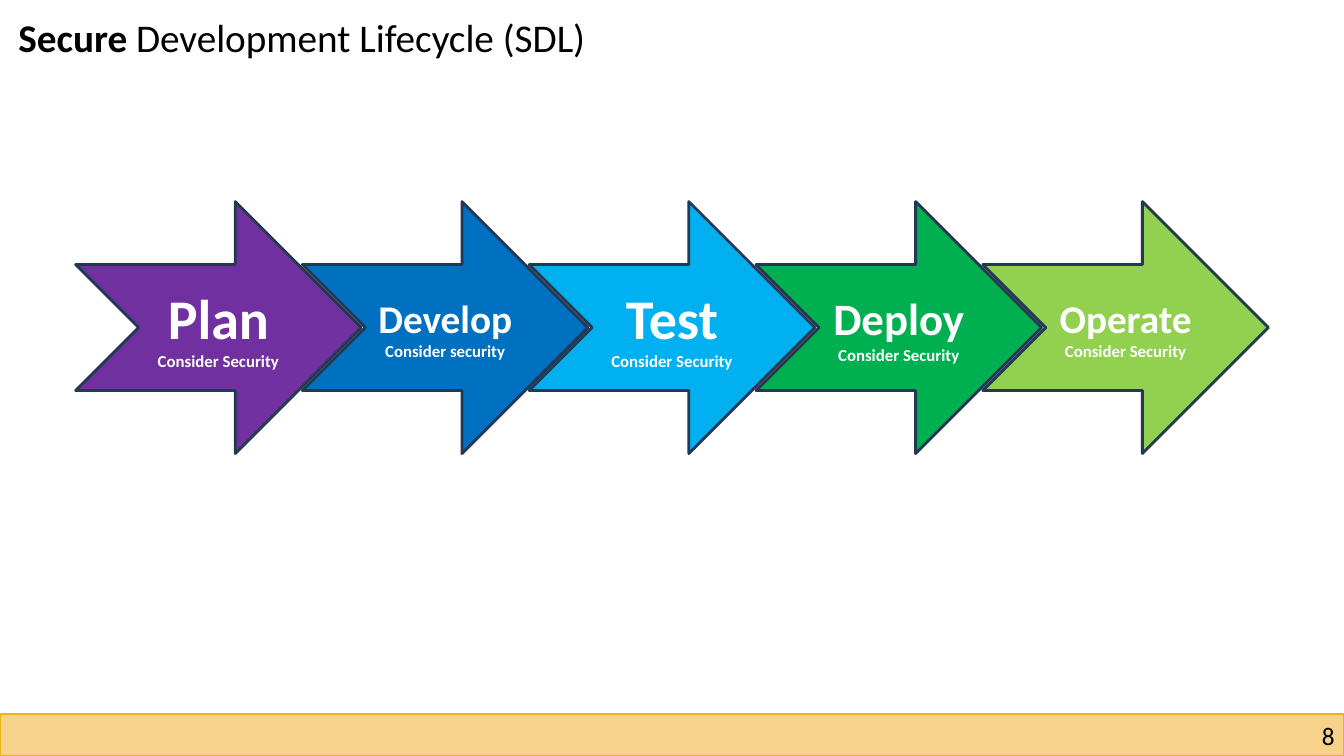
from pptx import Presentation
from pptx.dml.color import RGBColor
from pptx.enum.shapes import MSO_SHAPE as Shape
from pptx.enum.text import MSO_ANCHOR as Anchor, MSO_AUTO_SIZE as AutoSize, PP_ALIGN as Align
from pptx.util import Pt

EMU_PER_PX = 9525
TITLE_ONLY = 5


def px(*lengths):
    return [length * EMU_PER_PX for length in lengths]


def color(hex_string):
    return RGBColor.from_string(hex_string)


class SlideBuilder:
    FONT = "Calibri"
    INK = "000000"
    LIGHT = "FFFFFF"
    OUTLINE = "233953"
    BAND_FILL, BAND_LINE = "F6D28B", "EEB211"

    def __init__(self, slide):
        self.slide = slide

    def run(self, paragraph, words, size, ink, bold=False):
        run = paragraph.add_run()
        run.text = words
        run.font.name = self.FONT
        run.font.size = Pt(size)
        run.font.bold = bold
        run.font.color.rgb = color(ink)

    def title(self, parts, *box):
        title = self.slide.shapes.title
        title.left, title.top, title.width, title.height = px(*box)
        frame = title.text_frame
        frame.word_wrap = False
        frame.auto_size = AutoSize.NONE
        frame.vertical_anchor = Anchor.TOP
        heading = frame.paragraphs[0]
        heading.alignment = Align.LEFT
        for words, bold in parts:
            self.run(heading, words, 28, self.INK, bold)

    def shape(self, kind, fill, line, line_width, *box):
        shape = self.slide.shapes.add_shape(kind, *px(*box))
        shape.shadow.inherit = False
        shape.fill.solid()
        shape.fill.fore_color.rgb = color(fill)
        shape.line.color.rgb = color(line)
        shape.line.width = Pt(line_width)
        return shape

    def band(self, *box):
        self.shape(Shape.RECTANGLE, self.BAND_FILL, self.BAND_LINE, 1, *box)

    def page_number(self, number, *box):
        frame = self.slide.shapes.add_textbox(*px(*box)).text_frame
        frame.word_wrap = True
        frame.margin_left = frame.margin_right = 0
        frame.margin_top = frame.margin_bottom = 0
        frame.paragraphs[0].alignment = Align.RIGHT
        self.run(frame.paragraphs[0], number, 18, self.INK)

    def stage(self, name, name_size, reminder, fill, *box):
        arrow = self.shape(Shape.NOTCHED_RIGHT_ARROW, fill, self.OUTLINE, 2, *box)
        frame = arrow.text_frame
        frame.word_wrap = True
        frame.vertical_anchor = Anchor.MIDDLE
        lines = [frame.paragraphs[0], frame.add_paragraph()]
        for line, words, size in zip(lines, (name, reminder), (name_size, 12)):
            line.alignment = Align.CENTER
            self.run(line, words, size, self.LIGHT, True)


def main():
    deck = Presentation()
    deck.slide_width, deck.slide_height = px(1280, 720)
    sdl = SlideBuilder(deck.slides.add_slide(deck.slide_layouts[TITLE_ONLY]))

    # Footer band and page number
    sdl.band(0, 680, 1280, 40)
    sdl.page_number("8", 976, 686, 295, 29)

    # Heading
    sdl.title([("Secure", True), (" Development Lifecycle (SDL)", False)], 8, 8, 645, 55)

    # Lifecycle stages, each overlapping the one before
    stages = [
        ("Plan", 40, "Consider Security", "7030A0"),
        ("Develop", 28, "Consider security", "0070C0"),
        ("Test", 40, "Consider Security", "00B0F0"),
        ("Deploy", 32, "Consider Security", "00B050"),
        ("Operate", 28, "Consider Security", "92D050"),
    ]
    first_left, pitch = 72, 216
    for index, stage in enumerate(stages):
        sdl.stage(*stage, first_left + index * pitch, 192, 272, 240)

    deck.save("out.pptx")


if __name__ == "__main__":
    main()
